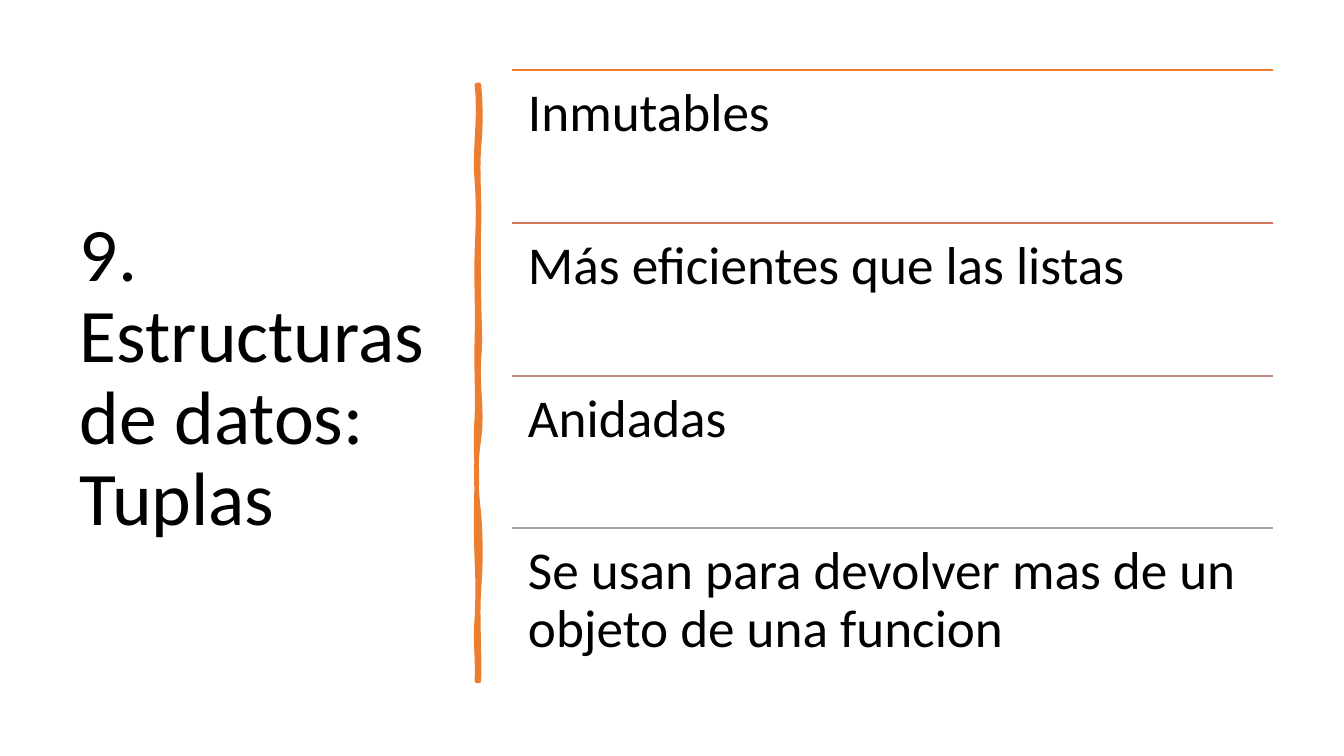
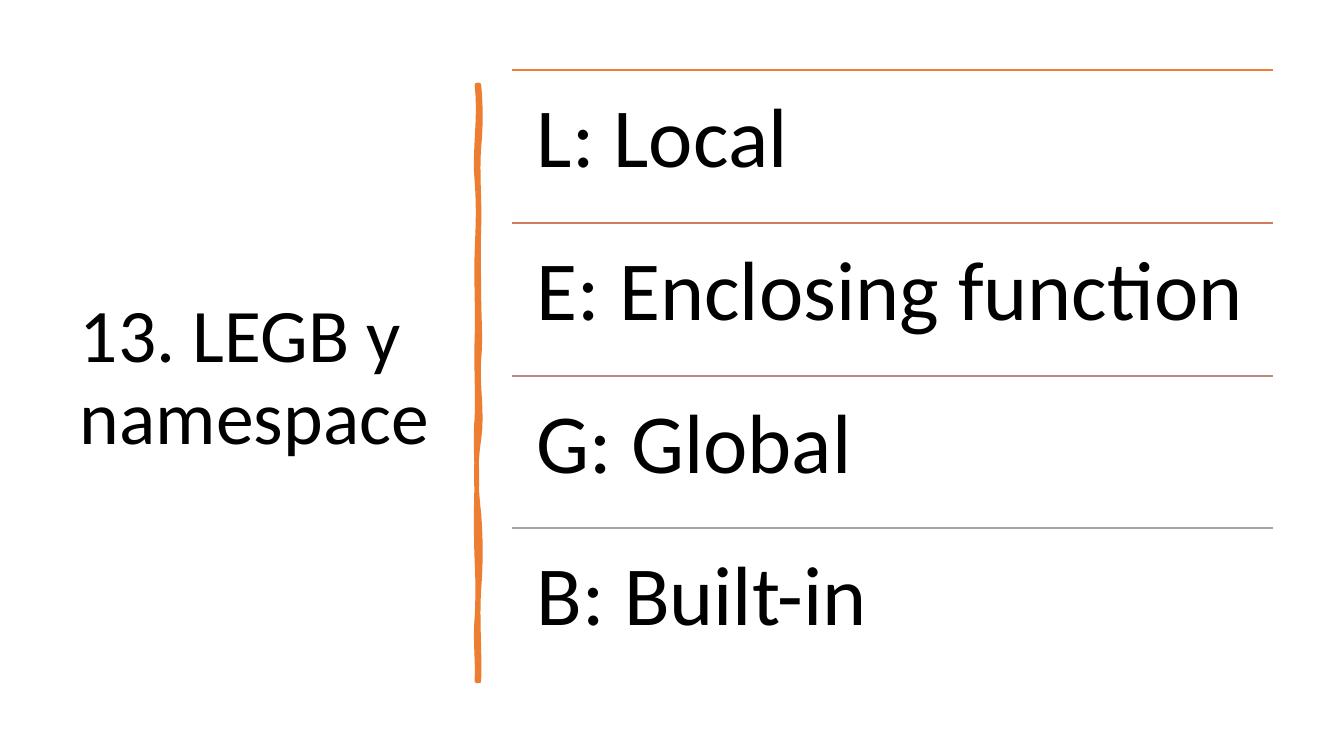
from pptx import Presentation
from pptx.dml.color import RGBColor
from pptx.enum.shapes import MSO_CONNECTOR
from pptx.enum.text import MSO_ANCHOR, PP_ALIGN
from pptx.util import Emu, Pt
from lxml.etree import SubElement
from pptx.oxml.ns import qn

SCALE = 914400 / 100.8
FONT = "Calibri"
COLORS = {
    "text": "000000",
    "page": "FFFFFF",
    "brush": "ED7D31",
    "rule1": "ED7D31",
    "rule2": "D17B5C",
    "rule3": "B98A82",
    "rule4": "A5A5A5",
}
TOP, FOOT = 85, 681
RIGHT = [(147, 2, 2), (228, -2, 1), (296, -1, 0), (359, 0, 2),
         (439, -2, 4), (514, -4, -3), (589, 2, 2), (FOOT, -2, 1)]
LEFT = [(618, 1, -2), (561, 1, 1), (481, -1, -1), (418, 0, -2),
        (338, 1, -1), (252, 1, -1), (182, 1, 2), (TOP, -3, 4)]


def px(count):
    return Emu(round(count * SCALE))


def color(name):
    return RGBColor.from_string(COLORS[name])


def write(frame, text, size=38, inset=(10, 5), anchor=MSO_ANCHOR.TOP):
    frame.word_wrap = True
    frame.vertical_anchor = anchor
    frame.margin_left = frame.margin_right = px(inset[0])
    frame.margin_top = frame.margin_bottom = px(inset[1])
    para = frame.paragraphs[0]
    para.alignment = PP_ALIGN.LEFT
    para.line_spacing = 0.9
    run = para.add_run()
    run.text = text
    run.font.name = FONT
    run.font.size = Pt(size)
    run.font.color.rgb = color("text")


def trace(x, start, parts, steps=8):
    points = []
    for end, bend1, bend2 in parts:
        for step in range(1, steps + 1):
            t = step / steps
            shift = 3 * t * (1 - t) * (bend1 * (1 - t) + bend2 * t)
            points.append((px(x + shift), px(start + (end - start) * t)))
        start = end
    return points


class Deck:
    def __init__(self):
        self.file = Presentation()
        self.file.slide_width, self.file.slide_height = px(1344), px(756)
        self.slide = None

    def page(self):
        self.slide = self.file.slides.add_slide(self.file.slide_layouts[6])
        fill = self.slide.background.fill
        fill.solid()
        fill.fore_color.rgb = color("page")

    def text(self, x, y, width, height, text, **style):
        box = self.slide.shapes.add_textbox(px(x), px(y), px(width), px(height))
        write(box.text_frame, text, **style)

    def title(self, text):
        self.text(70, 71, 377, 616, text, size=54, anchor=MSO_ANCHOR.MIDDLE)

    def brush(self):
        right, left = 479, 477
        pen = self.slide.shapes.build_freeform(px(right), px(TOP), scale=1.0)
        pen.add_line_segments(trace(right, TOP, RIGHT), close=False)
        pen.add_line_segments([(px(left), px(FOOT))], close=False)
        pen.add_line_segments(trace(left, FOOT, LEFT), close=True)
        shape = pen.convert_to_shape()
        shape.shadow.inherit = False
        shape.fill.solid()
        shape.fill.fore_color.rgb = color("brush")
        shape.line.color.rgb = color("brush")
        shape.line.width = Pt(3.25)

    def rule(self, x, y, width, name):
        line = self.slide.shapes.add_connector(
            MSO_CONNECTOR.STRAIGHT, px(x), px(y), px(x + width), px(y))
        line.line.color.rgb = color(name)
        line.line.width = Pt(1)
        SubElement(line._element.spPr, qn("a:effectLst"))

    def rows(self, items, size, inset):
        x, top, width, pitch = 512, 70.5, 761, 152.5
        for i, item in enumerate(items):
            y = round(top + i * pitch)
            self.rule(x, y, width, f"rule{i + 1}")
            self.text(x, y, width, 152, item, size=size, inset=(inset, inset))


def main():
    pages = [
        ("9. Estructuras de datos: Tuplas", 38, 16,
         ["Inmutables", "Más eficientes que las listas", "Anidadas",
          "Se usan para devolver mas de un objeto de una funcion"]),
        ("13. LEGB y namespace", 60, 25,
         ["L: Local", "E: Enclosing function", "G: Global", "B: Built-in"]),
    ]
    deck = Deck()
    for title, size, inset, items in pages:
        deck.page()
        deck.title(title)
        deck.brush()
        deck.rows(items, size, inset)
    deck.file.save("out.pptx")


if __name__ == "__main__":
    main()
